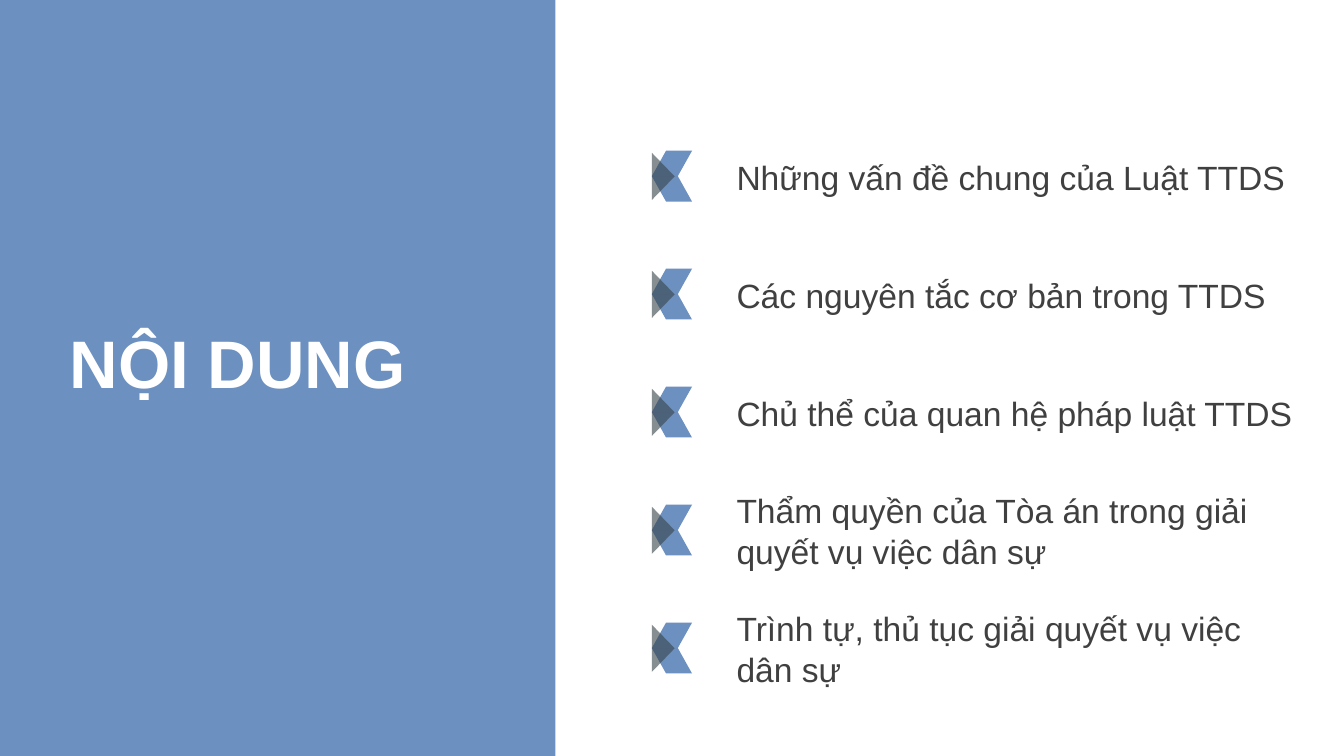
from lxml.etree import SubElement
from pptx import Presentation
from pptx.dml.color import RGBColor
from pptx.enum.shapes import MSO_SHAPE
from pptx.enum.text import MSO_ANCHOR, MSO_AUTO_SIZE, PP_ALIGN
from pptx.oxml.ns import qn
from pptx.util import Cm, Pt

ITEMS = [
    ("Những vấn đề chung của Luật TTDS", 10.92),
    ("Các nguyên tắc cơ bản trong TTDS", 10.67),
    ("Chủ thể của quan hệ pháp luật TTDS", 11.25),
    ("Thẩm quyền của Tòa án trong giải quyết vụ việc dân sự", 11.25),
    ("Trình tự, thủ tục giải quyết vụ việc dân sự", 10.92),
]
FIRST_TOP = 2.69
PITCH = 2.23


def color(value):
    return RGBColor.from_string(value)


def write(frame, text, size=18, ink="404040", font="Arial", bold=False,
          anchor=MSO_ANCHOR.MIDDLE):
    frame.word_wrap = True
    frame.auto_size = MSO_AUTO_SIZE.NONE
    frame.vertical_anchor = anchor
    frame.margin_left = frame.margin_right = Cm(0.25)
    frame.margin_top = frame.margin_bottom = Cm(0.25)
    para = frame.paragraphs[0]
    para.alignment = PP_ALIGN.LEFT
    span = para.add_run()
    span.text = text
    span.font.name = font
    span.font.size = Pt(size)
    span.font.bold = bold
    span.font.color.rgb = color(ink)


class AgendaSlide:
    blue = "5E85B9"
    dark = "38444A"
    white = "FFFFFF"

    def __init__(self, deck):
        self.page = deck.slides.add_slide(deck.slide_layouts[5])

    def shape(self, parent, kind, left, top, width, height, fill, opacity):
        shape = parent.add_shape(kind, Cm(left), Cm(top), Cm(width), Cm(height))
        shape.shadow.inherit = False
        shape.fill.solid()
        shape.fill.fore_color.rgb = color(fill)
        shape.line.fill.background()
        tint = shape.fill._xPr.find(qn("a:solidFill"))[0]
        SubElement(tint, qn("a:alpha"), val=str(opacity * 1000))
        return shape

    def panel(self):
        shapes = self.page.shapes
        panel = self.shape(shapes, MSO_SHAPE.RECTANGLE, 0, 0, 10.5, 14.29,
                           self.blue, 91)
        shapes._spTree.insert(2, panel._element)

    def title(self, text):
        title = self.page.shapes.title
        title.left, title.top = Cm(1.07), Cm(5.82)
        title.width, title.height = Cm(9.96), Cm(4.9)
        write(title.text_frame, text, size=36, ink=self.white, bold=True,
              anchor=MSO_ANCHOR.TOP)

    def marker(self, top):
        parts = self.page.shapes.add_group_shape().shapes
        for row in range(2):
            wing = self.shape(parts, MSO_SHAPE.PARALLELOGRAM, 12.32,
                              top + row * 0.48, 0.76, 0.48, self.blue, 91)
            wing.adjustments[0] = 0.56
            if row:
                wing._element.spPr.find(qn("a:xfrm")).set("flipH", "1")
        arrow = self.shape(parts, MSO_SHAPE.ISOSCELES_TRIANGLE, 12.09,
                           top + 0.27, 0.89, 0.43, self.dark, 60)
        arrow.rotation = 90

    def item(self, text, top, width):
        box = self.page.shapes.add_textbox(Cm(13.67), Cm(top), Cm(width), Cm(1.3))
        write(box.text_frame, text)


def main():
    deck = Presentation()
    deck.slide_width, deck.slide_height = Cm(25.4), Cm(14.29)
    agenda = AgendaSlide(deck)
    agenda.panel()
    agenda.title("NỘI DUNG")
    for index, (text, width) in enumerate(ITEMS):
        top = FIRST_TOP + index * PITCH
        agenda.marker(top + 0.16)
        agenda.item(text, top, width)
    deck.save("out.pptx")


if __name__ == "__main__":
    main()
